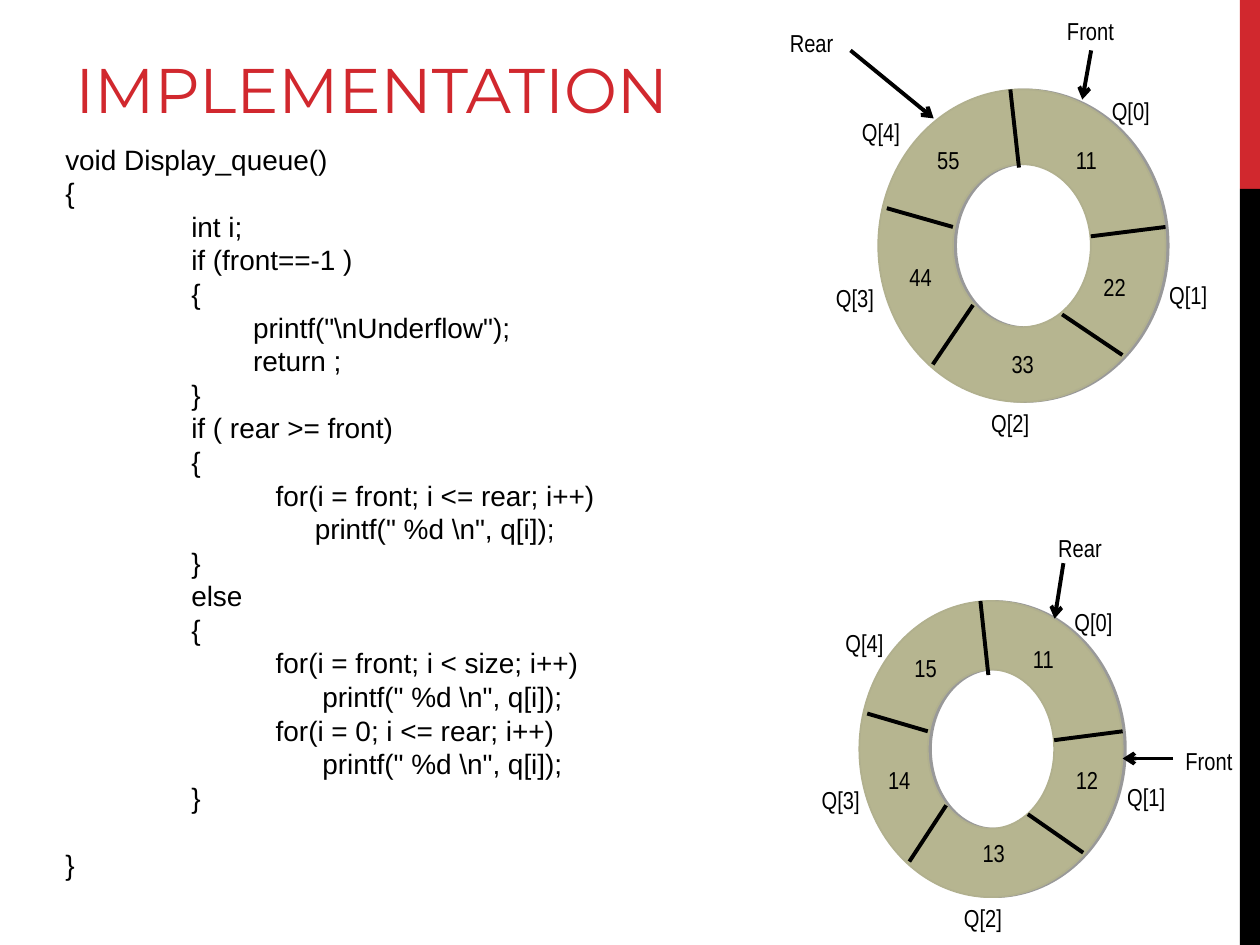
"""Build a slide on displaying a circular queue: code beside two ring diagrams."""
from lxml import etree
from pptx import Presentation
from pptx import util as u
from pptx.dml.color import RGBColor
from pptx.enum import shapes, text
from pptx.oxml.ns import qn

WIDTH, HEIGHT = 10, 7.5
RED, BLACK, OLIVE, EDGE = "D1282E", "000000", "B6B590", "B1B08E"
TITLE = "IMPLEMENTATION"
INDENTS = {"outer": 0, "body": 1, "guard": 1.49, "loop": 1.67, "print": 1.98, "wrap": 2.04}
CODE = [
    ("outer", "void Display_queue()"),
    ("outer", "{"),
    ("body", "int i;"),
    ("body", "if (front==-1 )"),
    ("body", "{"),
    ("guard", 'printf("\\nUnderflow");'),
    ("guard", "return ;"),
    ("body", "}"),
    ("body", "if ( rear >= front)"),
    ("body", "{"),
    ("loop", "for(i = front; i <= rear; i++)"),
    ("print", 'printf(" %d \\n", q[i]);'),
    ("body", "}"),
    ("body", "else"),
    ("body", "{"),
    ("loop", "for(i = front; i < size; i++)"),
    ("wrap", 'printf(" %d \\n", q[i]);'),
    ("loop", "for(i = 0; i <= rear; i++)"),
    ("wrap", 'printf(" %d \\n", q[i]);'),
    ("body", "}"),
    ("outer", "}"),
]
CODE_PITCH = 19.2

RING_THICKNESS = 0.26
SPOKES = [
    (0.49, 0.25, 0.46, 0), (0.74, 0.47, 1, 0.44), (0.26, 0.44, 0.03, 0.38),
    (0.33, 0.69, 0.19, 0.88), (0.64, 0.72, 0.85, 0.85),
]
SLOTS = [
    ("Q[0]", 0.77, 0), ("Q[1]", 0.97, 0.59), ("Q[2]", 0.35, 1),
    ("Q[3]", -0.19, 0.6), ("Q[4]", -0.1, 0.07),
]
RINGS = [
    {
        "box": (6.97, 0.71, 2.28, 2.48), "label_width": 0.66, "value_width": 0.44,
        "values": [("11", 8.44, 1.1), ("22", 8.66, 2.11), ("33", 7.93, 2.72),
                   ("44", 7.12, 2.03), ("55", 7.34, 1.1)],
        "pointers": [("Rear", 6.17, 0.17, (6.75, 0.4, 7.41, 0.94)),
                     ("Front", 8.37, 0.08, (8.66, 0.4, 8.59, 0.79))],
    },
    {
        "box": (6.82, 4.77, 2.09, 2.35), "label_width": 0.61, "value_width": 0.4,
        "values": [("11", 8.1, 5.06), ("12", 8.44, 6.02), ("13", 7.7, 6.6),
                   ("14", 6.95, 6.02), ("15", 7.16, 5.13)],
        "pointers": [("Rear", 8.3, 4.18, (8.44, 4.47, 8.37, 4.91)),
                     ("Front", 9.31, 5.87, (9.31, 6.02, 8.91, 6.02))],
    },
]


def colour(hex_value):
    return RGBColor.from_string(hex_value)


def apply(target, values):
    for name, value in values.items():
        setattr(target, name, value)


def inches(*lengths):
    return [u.Inches(length) for length in lengths]


def add_text(parent, box, lines, font, size, hex_value=BLACK, anchor=text.MSO_ANCHOR.TOP):
    frame = parent.add_textbox(*inches(*box)).text_frame
    apply(frame, {"word_wrap": True, "vertical_anchor": anchor})
    for index, line in enumerate(lines):
        paragraph = frame.paragraphs[0] if index == 0 else frame.add_paragraph()
        run = paragraph.add_run()
        run.text = line
        apply(run.font, {"name": font, "size": u.Pt(size)})
        run.font.color.rgb = colour(hex_value)
    return frame.paragraphs


def add_label(parent, label, left, top, width):
    add_text(parent, (left, top, width, 0.34), [label], "Arial Narrow", 14)


def add_line(parent, ends, arrow=False):
    connector = parent.add_connector(shapes.MSO_CONNECTOR.STRAIGHT, *inches(*ends))
    connector.line.width = u.Pt(2.25)
    connector.line.color.rgb = colour(BLACK)
    if arrow:
        etree.SubElement(connector.line._get_or_add_ln(), qn("a:tailEnd"), type="arrow")
    etree.SubElement(connector._element.spPr, qn("a:effectLst"))


def add_filled(parent, kind, box, fill):
    shape = parent.add_shape(kind, *inches(*box))
    shape.shadow.inherit = False
    shape.fill.solid()
    shape.fill.fore_color.rgb = colour(fill)
    shape.line.fill.background()
    return shape


def add_annulus(parent, box):
    annulus = add_filled(parent, shapes.MSO_SHAPE.DONUT, box, OLIVE)
    annulus.adjustments[0] = RING_THICKNESS
    annulus.line.color.rgb = colour(EDGE)
    annulus.line.width = u.Pt(1)
    effects = annulus._element.spPr.find(qn("a:effectLst"))
    shadow = etree.SubElement(effects, qn("a:outerShdw"), dist=str(int(u.Pt(1.8))), dir="0")
    tint = etree.SubElement(shadow, qn("a:srgbClr"), val=BLACK)
    etree.SubElement(tint, qn("a:alpha"), val="40000")


def add_ring(slide, ring):
    group = slide.shapes.add_group_shape().shapes
    left, top, width, height = ring["box"]
    add_annulus(group, ring["box"])
    for x1, y1, x2, y2 in SPOKES:
        add_line(group, (left + x1 * width, top + y1 * height,
                         left + x2 * width, top + y2 * height))
    for label, x, y in SLOTS:
        add_label(group, label, left + x * width, top + y * height, ring["label_width"])
    for value, x, y in ring["values"]:
        add_label(group, value, x, y, ring["value_width"])
    for label, x, y, ends in ring["pointers"]:
        add_label(group, label, x, y, ring["label_width"])
        add_line(group, ends, arrow=True)


def add_code(slide):
    paragraphs = add_text(slide.shapes, (0.42, 1.08, 8.33, 6.23),
                          [line for _, line in CODE], "Arial", 16)
    for paragraph, (level, _) in zip(paragraphs, CODE):
        paragraph.line_spacing = u.Pt(CODE_PITCH)
        properties = paragraph._p.get_or_add_pPr()
        properties.set("marL", str(int(u.Inches(INDENTS[level]))))
        properties.set("indent", "0")
    paragraphs[-1].space_before = u.Pt(CODE_PITCH)


def main():
    presentation = Presentation()
    apply(presentation, {"slide_width": u.Inches(WIDTH), "slide_height": u.Inches(HEIGHT)})
    slide = presentation.slides.add_slide(presentation.slide_layouts[6])
    for top, share, fill in [(0, 0.2, RED), (0.2, 0.8, BLACK)]:
        add_filled(slide.shapes, shapes.MSO_SHAPE.RECTANGLE,
                   (WIDTH - 0.16, top * HEIGHT, 0.16, share * HEIGHT), fill)
    add_text(slide.shapes, (0.5, 0.25, 8.17, 0.8), [TITLE], "Montserrat", 36, RED,
             text.MSO_ANCHOR.BOTTOM)
    add_code(slide)
    for ring in RINGS:
        add_ring(slide, ring)
    presentation.save("out.pptx")


if __name__ == "__main__":
    main()
